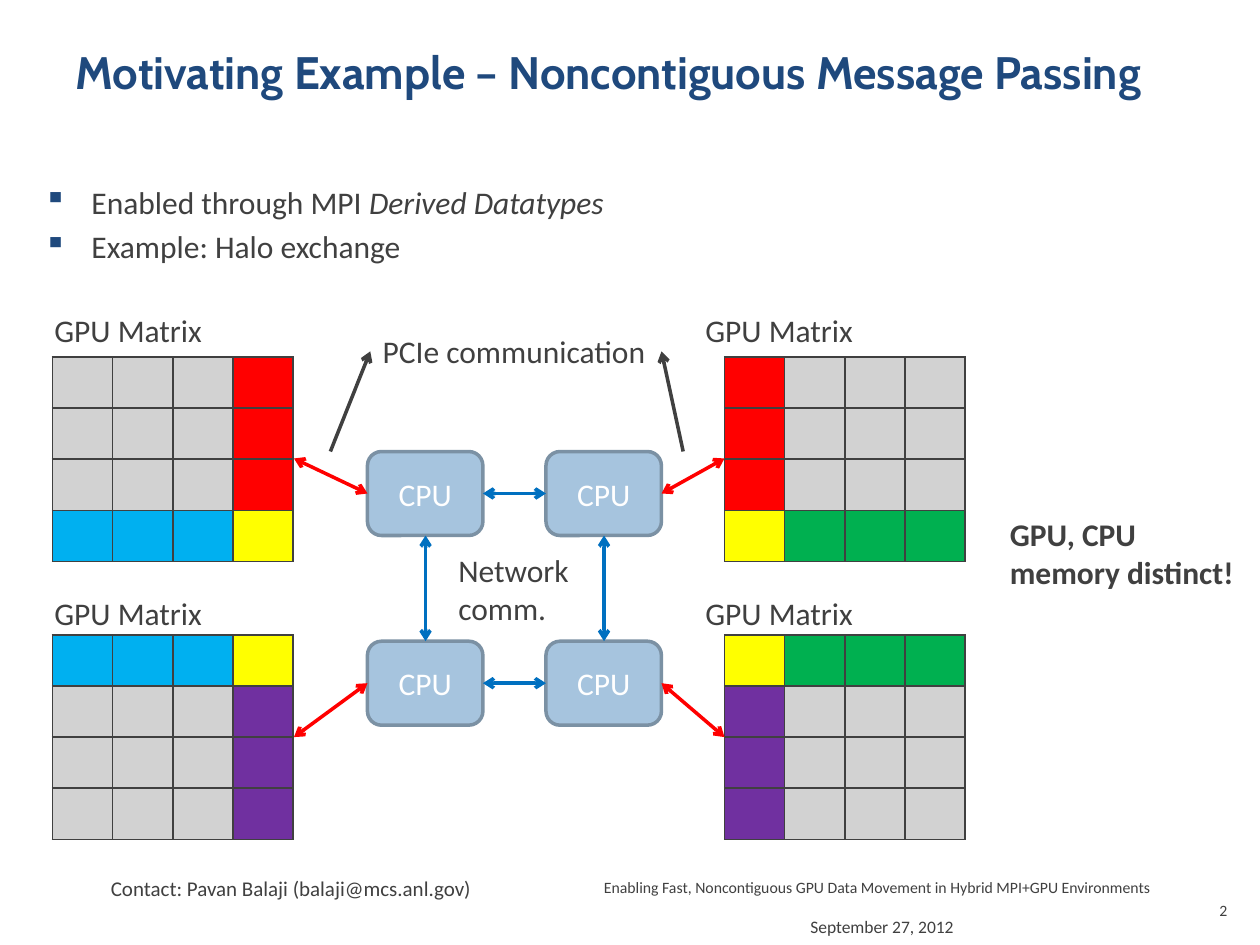
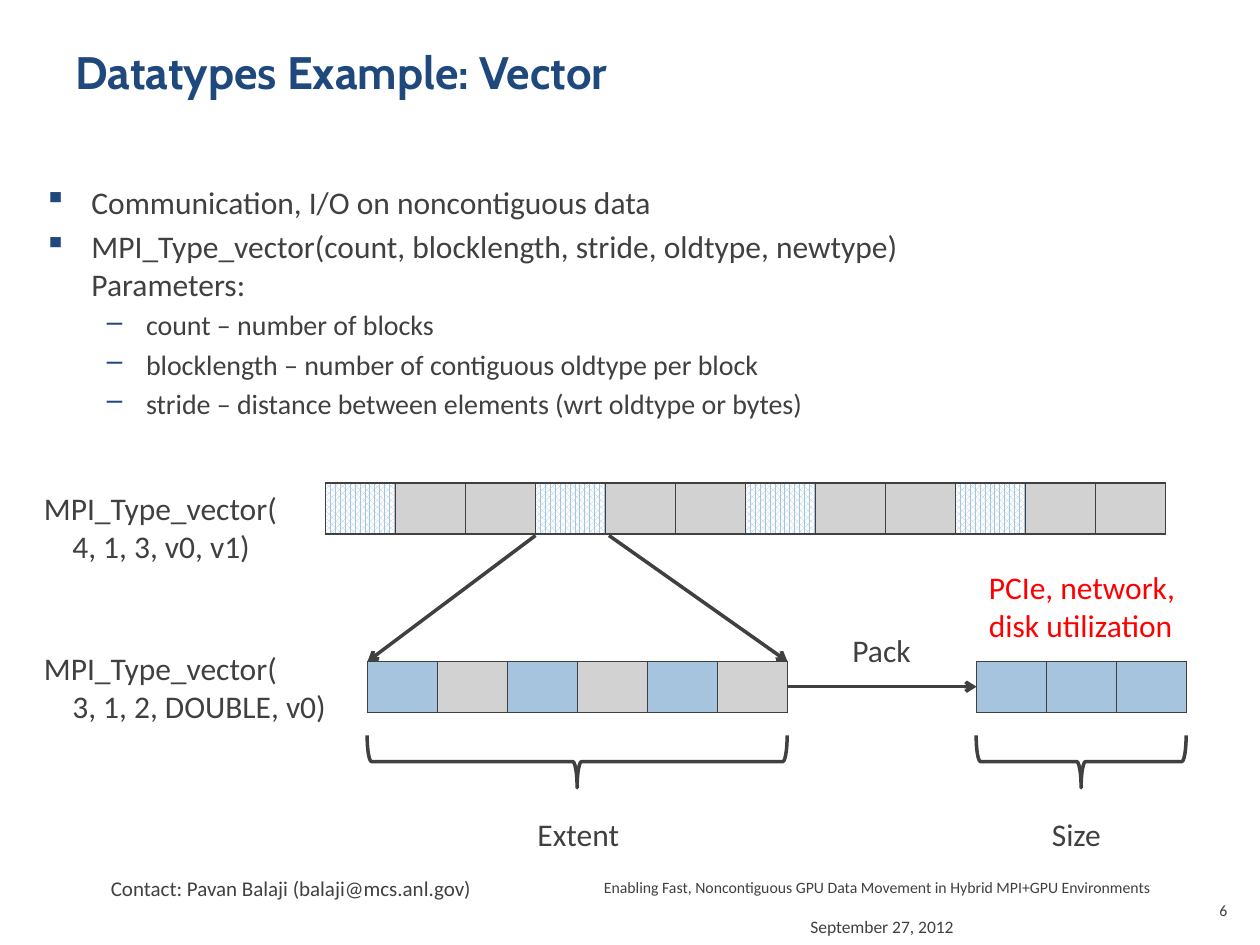
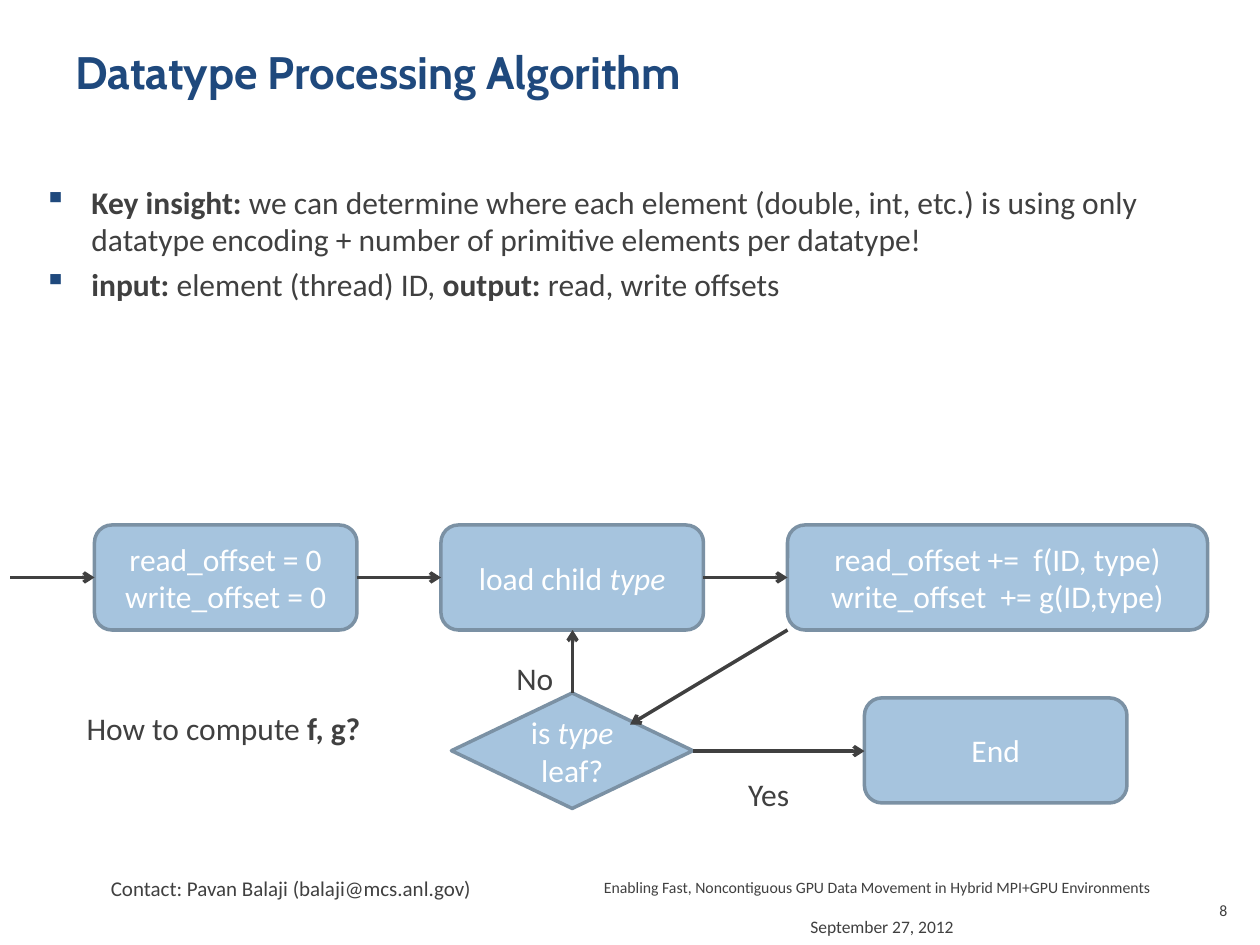
from lxml import etree
from pptx import Presentation
from pptx.dml.color import RGBColor
from pptx.enum.dml import MSO_PATTERN
from pptx.enum.shapes import MSO_CONNECTOR, MSO_SHAPE
from pptx.enum.text import MSO_ANCHOR, MSO_AUTO_SIZE, PP_ALIGN
from pptx.oxml.ns import qn
from pptx.util import Pt

PX = 5080  # EMU in one px, 180 px to the inch
COLORS = {
    "title": "1F497D", "text": "404040", "white": "FFFFFF",
    "box": "A6C4DE", "box_line": "7B91A4", "grey": "D2D2D2",
    "red": "FF0000", "cyan": "00B0F0", "yellow": "FFFF00",
    "green": "00B050", "purple": "7030A0", "blue": "0070C0",
}
BULLETS = [  # char, left margin, hanging indent, text size
    ("▪", 68, 68, 18),
    ("–", 146, 56, 16),
]
LEFT, CENTER, RIGHT = PP_ALIGN.LEFT, PP_ALIGN.CENTER, PP_ALIGN.RIGHT
MIDDLE = MSO_ANCHOR.MIDDLE
GROW = MSO_AUTO_SIZE.SHAPE_TO_FIT_TEXT
STRAIGHT = MSO_CONNECTOR.STRAIGHT
ROUNDED, BRACE = MSO_SHAPE.ROUNDED_RECTANGLE, MSO_SHAPE.LEFT_BRACE
PROCESS = MSO_SHAPE.FLOWCHART_ALTERNATE_PROCESS
DECISION = MSO_SHAPE.FLOWCHART_DECISION
DOTTED = MSO_PATTERN.PERCENT_75
ROW_HEIGHT = 73


def rgb(color):
    return RGBColor.from_string(COLORS[color])


def emu(*lengths):
    return [length * PX for length in lengths]


def add_xml(parent, tag, **attributes):
    return etree.SubElement(parent, qn(tag), attributes)


def set_bullet(paragraph, level):
    char, margin, hanging, _ = BULLETS[level]
    properties = paragraph._p.get_or_add_pPr()
    properties.set("marL", str(margin * PX))
    properties.set("indent", str(-hanging * PX))
    color = add_xml(properties, "a:buClr")
    add_xml(color, "a:srgbClr", val=COLORS["title"])
    add_xml(properties, "a:buChar", char=char)


def write(frame, paragraphs, size=18, color="text", font="Calibri",
          bold=False, align=LEFT, levels=None):
    """Each paragraph is a string or a list of strings and (string, "b" or "i")."""
    for index, content in enumerate(paragraphs):
        paragraph = frame.paragraphs[0] if index == 0 else frame.add_paragraph()
        paragraph.alignment = align
        if levels:
            set_bullet(paragraph, levels[index])
            size = BULLETS[levels[index]][3]
            if index:
                paragraph.space_before = Pt(size * 0.2)
        for part in [content] if isinstance(content, str) else content:
            words, style = (part, "") if isinstance(part, str) else part
            for number, line in enumerate(words.split("\n")):
                if number:
                    paragraph.add_line_break()
                run = paragraph.add_run()
                run.text = line
                run.font.name, run.font.size = font, Pt(size)
                run.font.bold = bold or style == "b"
                run.font.italic = style == "i"
                run.font.color.rgb = rgb(color)


class Deck:
    def __init__(self):
        self.file = Presentation()
        self.file.slide_width, self.file.slide_height = emu(1800, 1350)
        self.slide = None

    def new_slide(self, title, number):
        self.slide = self.file.slides.add_slide(self.file.slide_layouts[6])
        self.label(135, 1242, 556, ["Contact: Pavan Balaji (balaji@mcs.anl.gov)"],
                   size=12, align=RIGHT)
        self.text(90, 54, 1620, 225, [title], size=26, color="title",
                  font="Cabin", bold=True)
        self.text(1140, 1300, 270, 41, ["September 27, 2012"], size=10)
        self.text(750, 1245, 910, 45,
                  ["Enabling Fast, Noncontiguous GPU Data Movement"
                   " in Hybrid MPI+GPU Environments"], size=9, align=RIGHT)
        self.text(1695, 1278, 76, 72, [number], size=9, align=RIGHT)

    def text(self, x, y, width, height, paragraphs, **style):
        frame = self.slide.shapes.add_textbox(*emu(x, y, width, height)).text_frame
        frame.word_wrap = True
        write(frame, paragraphs, **style)
        return frame

    def label(self, x, y, width, paragraphs, lines=1, **style):
        frame = self.text(x, y, width, 18 + 55 * lines, paragraphs, **style)
        frame.word_wrap = False
        frame.auto_size = GROW

    def body(self, height, items):
        self.text(45, 252, 1710, height, [content for _, content in items],
                  levels=[level for level, _ in items])

    def box(self, x, y, width, height, paragraphs, kind=PROCESS):
        shape = self.slide.shapes.add_shape(kind, *emu(x, y, width, height))
        shape.shadow.inherit = False
        shape.fill.solid()
        shape.fill.fore_color.rgb = rgb("box")
        shape.line.color.rgb = rgb("box_line")
        shape.line.width = Pt(2)
        shape.text_frame.vertical_anchor = MIDDLE
        write(shape.text_frame, paragraphs, color="white", align=CENTER)

    def brace(self, x, y, width, depth=75):
        """Brace that spans width and points down."""
        shift = (width - depth) // 2
        shape = self.slide.shapes.add_shape(
            BRACE, *emu(x + shift, y - shift, depth, width))
        shape.rotation = 270
        shape.shadow.inherit = False
        shape.fill.background()
        shape.line.color.rgb = rgb("text")
        shape.line.width = Pt(2)

    def arrow(self, x1, y1, x2, y2, color="text", both=False):
        connector = self.slide.shapes.add_connector(STRAIGHT, *emu(x1, y1, x2, y2))
        connector.line.color.rgb = rgb(color)
        connector.line.width = Pt(2)
        line = connector.line._get_or_add_ln()
        if both:
            add_xml(line, "a:headEnd", type="arrow")
        add_xml(line, "a:tailEnd", type="arrow")
        add_xml(connector._element.spPr, "a:effectLst")

    def cells(self, x, y, cell_width, colors):
        """Table of empty cells; colors holds one list per row."""
        rows, columns = len(colors), len(colors[0])
        table = self.slide.shapes.add_table(
            rows, columns,
            *emu(x, y, cell_width * columns, ROW_HEIGHT * rows)).table
        table.first_row = table.horz_banding = False
        for row, row_colors in enumerate(colors):
            for column, color in enumerate(row_colors):
                self.paint(table.cell(row, column), color)

    def paint(self, cell, color):
        if color == "dotted":
            cell.fill.patterned()
            cell.fill.pattern = DOTTED
            cell.fill.fore_color.rgb = rgb("box")
            cell.fill.back_color.rgb = rgb("white")
        else:
            cell.fill.solid()
            cell.fill.fore_color.rgb = rgb(color)
        properties = cell._tc.get_or_add_tcPr()
        for index, side in enumerate(("a:lnL", "a:lnR", "a:lnT", "a:lnB")):
            border = add_xml(properties, side, w=str(Pt(1)))
            add_xml(add_xml(border, "a:solidFill"), "a:srgbClr", val=COLORS["text"])
            properties.insert(index, border)


def halo_colors(halo_row, halo_column, row_color, column_color):
    """4 x 4 matrix whose halo row and column cross in a yellow corner."""
    def color(row, column):
        if row == halo_row:
            return "yellow" if column == halo_column else row_color
        return column_color if column == halo_column else "grey"
    return [[color(row, column) for column in range(4)] for row in range(4)]


def halo_exchange(deck):
    deck.new_slide("Motivating Example – Noncontiguous Message Passing", "2")
    deck.body(243, [
        (0, ["Enabled through MPI ", ("Derived Datatypes", "i")]),
        (0, "Example: Halo exchange"),
    ])
    # GPU matrices and their CPUs, one pair per corner
    matrix_sides = [(75, 60, 525, 3, "cyan"), (1035, 990, 780, 0, "green")]
    matrix_rows = [(510, 435, 645, 3, "red"), (907, 840, 916, 0, "purple")]
    for matrix_x, label_x, cpu_x, halo_column, row_color in matrix_sides:
        for matrix_y, label_y, cpu_y, halo_row, column_color in matrix_rows:
            deck.cells(matrix_x, matrix_y, 86, halo_colors(
                halo_row, halo_column, row_color, column_color))
            deck.label(label_x, label_y, 248, ["GPU Matrix"])
            deck.box(cpu_x, cpu_y, 165, 120, ["CPU"], kind=ROUNDED)
    # Network links between CPUs
    for x in (608, 863):
        deck.arrow(x, 765, x, 916, color="blue", both=True)
    for y in (705, 976):
        deck.arrow(690, y, 780, y, color="blue", both=True)
    deck.label(637, 778, 196, ["Network\ncomm."], lines=2)
    # PCIe links between GPU and CPU
    for matrix_x, cpu_x in ((420, 525), (1035, 945)):
        for matrix_y, cpu_y in ((655, 705), (1053, 976)):
            deck.arrow(matrix_x, matrix_y, cpu_x, cpu_y, color="red", both=True)
    deck.label(529, 465, 416, ["PCIe communication"])
    deck.arrow(472, 645, 529, 502)
    deck.arrow(976, 645, 945, 502)
    deck.label(1425, 727, 358, ["GPU, CPU \nmemory distinct!"], lines=2, bold=True)


def vector_example(deck):
    deck.new_slide("Datatypes Example: Vector", "6")
    deck.body(437, [
        (0, "Communication, I/O on noncontiguous data"),
        (0, "MPI_Type_vector(count, blocklength, stride, oldtype, newtype)"
            "\nParameters:"),
        (1, "count – number of blocks"),
        (1, "blocklength – number of contiguous oldtype per block"),
        (1, "stride – distance between elements (wrt oldtype or bytes)"),
    ])
    # Outer vector, inner vector, packed data
    deck.cells(465, 690, 100, [["dotted", "grey", "grey"] * 4])
    deck.cells(525, 945, 100, [["box", "grey"] * 3])
    deck.cells(1395, 945, 100, [["box"] * 3])
    deck.label(45, 690, 373, ["MPI_Type_vector(", "    4, 1, 3, v0, v1)"], lines=2)
    deck.label(45, 918, 445, ["MPI_Type_vector(", "    3, 1, 2, DOUBLE, v0)"],
               lines=2)
    # Zoom into one element, then pack
    deck.arrow(765, 765, 525, 945)
    deck.arrow(870, 765, 1125, 945)
    deck.arrow(1125, 981, 1395, 981)
    deck.label(1200, 893, 121, ["Pack"])
    deck.label(1395, 803, 315, ["PCIe, network,", "disk utilization"], lines=2,
               color="red")
    # Extent and size
    deck.brace(525, 1050, 600)
    deck.label(750, 1155, 155, ["Extent"])
    deck.brace(1395, 1050, 300)
    deck.label(1485, 1155, 108, ["Size"])


def processing_algorithm(deck):
    deck.new_slide("Datatype Processing Algorithm", "8")
    deck.body(423, [
        (0, [("Key insight: ", "b"),
             "we can determine where each element (double, int, etc.) is using only "
             "datatype encoding + number of primitive elements per datatype!"]),
        (0, [("input: ", "b"), "element (thread) ID, ",
             ("output: ", "b"), "read, write offsets"]),
    ])
    # Steps
    deck.box(135, 750, 375, 150, ["read_offset = 0\nwrite_offset = 0"])
    deck.box(630, 750, 375, 150, [["load child ", ("type", "i")]])
    deck.box(1125, 750, 600, 150,
             ["read_offset +=  f(ID, type)", "write_offset  += g(ID,type)"])
    deck.box(1235, 997, 375, 150, ["End"])
    deck.box(645, 990, 345, 165, [["is ", ("type", "i"), " leaf?"]], kind=DECISION)
    # Flow
    for start, end in ((15, 135), (510, 630), (1005, 1125)):
        deck.arrow(start, 825, end, 825)
    deck.arrow(1125, 900, 900, 1035)
    deck.arrow(818, 990, 818, 900)
    deck.arrow(990, 1073, 1235, 1073)
    deck.label(720, 932, 90, ["No"])
    deck.label(1051, 1098, 95, ["Yes"])
    deck.label(106, 1004, 432, [["How to compute ", ("f, g?", "b")]])


def main():
    deck = Deck()
    halo_exchange(deck)
    vector_example(deck)
    processing_algorithm(deck)
    deck.file.save("out.pptx")


if __name__ == "__main__":
    main()
